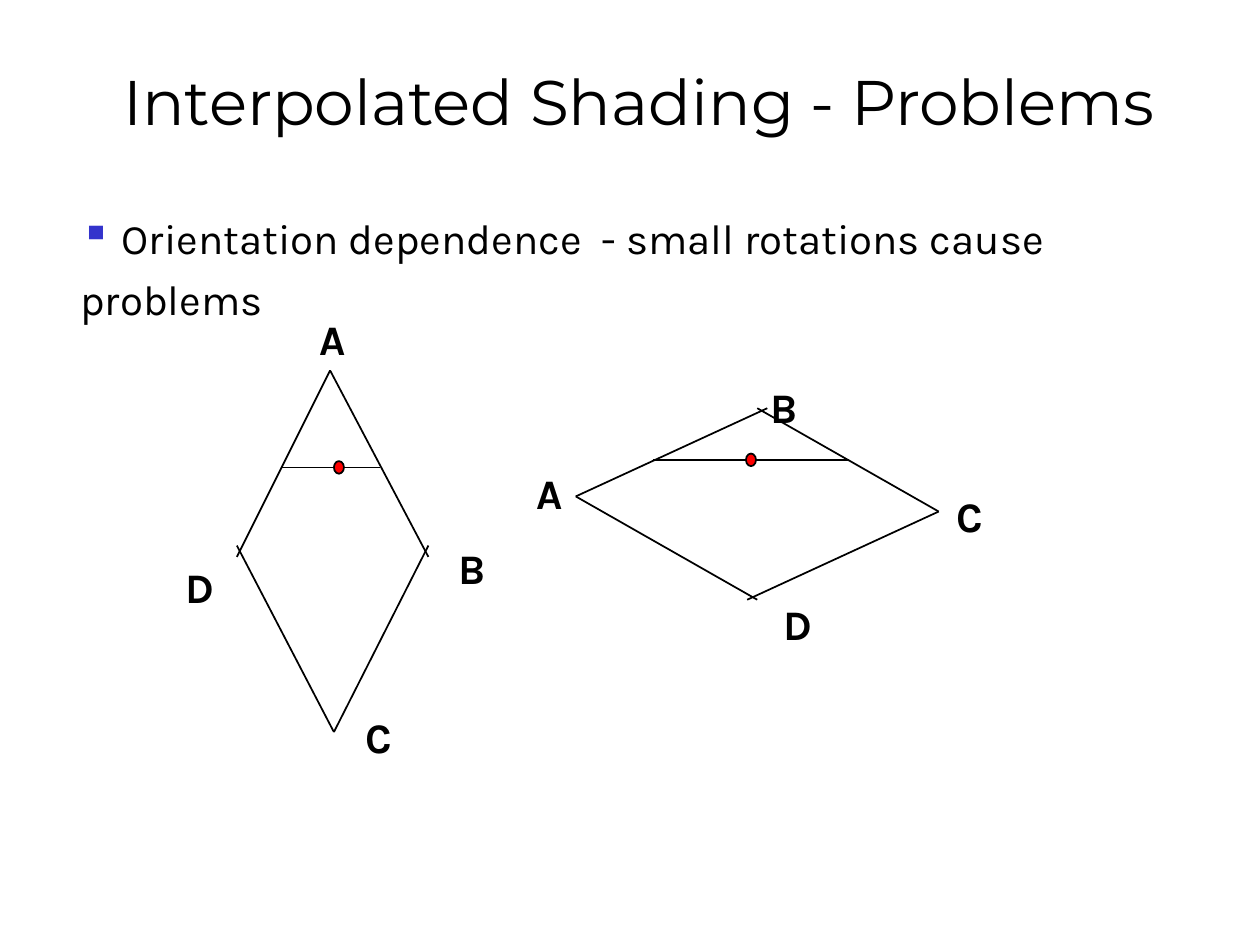
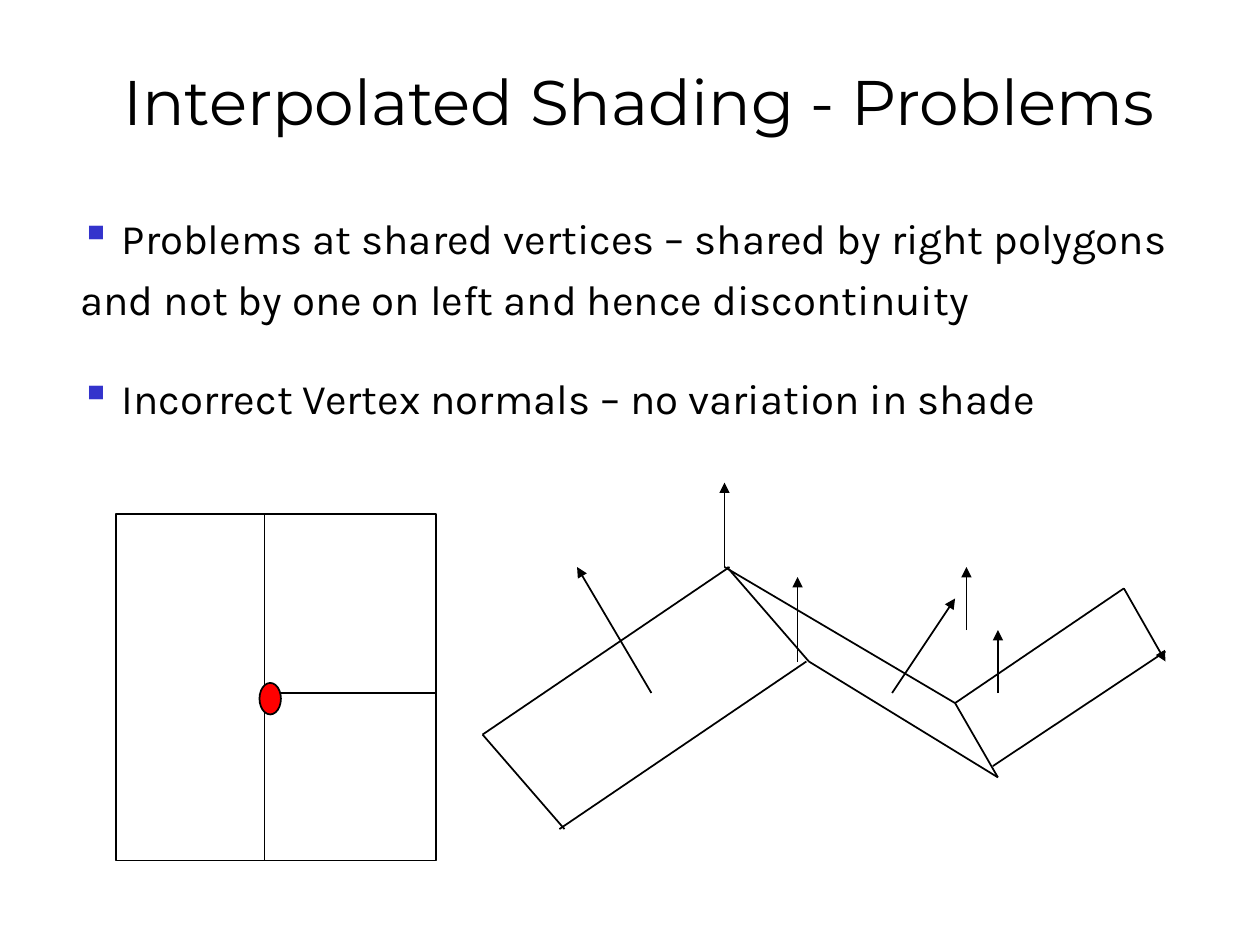
from lxml import etree
from pptx import Presentation
from pptx import util as u
from pptx.dml.color import RGBColor
from pptx.enum import shapes, text
from pptx.oxml.ns import qn

PX = 9144  # 100 px to the inch
BLACK, WHITE, RED, BLUE = "000000", "FFFFFF", "FF0000", "3333CC"
TITLE_FONT, BODY_FONT = "Montserrat", "Karla"
TITLE = "Interpolated Shading - Problems"
TITLE_BOX = (33, 33, 948, 82)
LABEL_WIDTH, LABEL_HEIGHT = 56, 58


def rgb(color):
    return RGBColor.from_string(color)


def write(shape, paragraphs, font=BODY_FONT, size=24, bold=False, bulleted=False):
    """Fill a shape with paragraphs, either centred or bulleted."""
    frame = shape.text_frame
    frame.word_wrap = True
    frame.auto_size = text.MSO_AUTO_SIZE.NONE
    frame.vertical_anchor = text.MSO_ANCHOR.TOP
    for number, words in enumerate(paragraphs):
        paragraph = frame.add_paragraph() if number else frame.paragraphs[0]
        paragraph.line_spacing = 1.2
        paragraph.space_before = u.Pt(22 if number else 0)
        if bulleted:
            paragraph.alignment = text.PP_ALIGN.LEFT
            properties = paragraph._p.get_or_add_pPr()
            properties.set("marL", "0")
            properties.set("indent", str(-17 * PX))
            bullet_color = etree.SubElement(properties, qn("a:buClr"))
            etree.SubElement(bullet_color, qn("a:srgbClr"), val=BLUE)
            etree.SubElement(properties, qn("a:buChar"), char="▪")
        else:
            paragraph.alignment = text.PP_ALIGN.CENTER
        run = paragraph.add_run()
        run.text = words
        run.font.name = font
        run.font.size = u.Pt(size)
        run.font.bold = bold
        run.font.color.rgb = rgb(BLACK)


presentation = Presentation()
presentation.slide_width = 1000 * PX
presentation.slide_height = 750 * PX

# Each line is (x1, y1, x2, y2); each filled shape is (kind, fill, box).
oval, rectangle = shapes.MSO_SHAPE.OVAL, shapes.MSO_SHAPE.RECTANGLE
orientation = {
    "bullets": [" Orientation dependence  - small rotations cause problems"],
    "body_height": 58,
    "panels": [],
    "lines": [
        # upright quadrilateral
        (262, 294, 188, 442), (262, 294, 340, 442),
        (265, 581, 340, 433), (265, 581, 188, 433),
        # rotated quadrilateral
        (457, 394, 601, 476), (457, 394, 609, 324),
        (745, 406, 601, 324), (745, 406, 593, 476),
        # scan lines
        (223, 371, 302, 371), (518, 365, 674, 365),
    ],
    "arrows": [],
    "points": [(oval, RED, (592, 360, 8, 10)), (oval, RED, (265, 366, 8, 10))],
    "labels": [
        ("D", 131, 433), ("A", 236, 236), ("B", 347, 418), ("C", 273, 552),
        ("A", 408, 358), ("B", 594, 290), ("C", 742, 376), ("D", 605, 462),
    ],
}
vertices = {
    "bullets": [
        " Problems at shared vertices – shared by right polygons and not by one"
        " on left and hence discontinuity",
        " Incorrect Vertex normals – no variation in shade",
    ],
    "body_height": 188,
    "panels": [(rectangle, WHITE, (92, 408, 254, 275))],
    "lines": [
        # polygon divisions
        (210, 408, 210, 683), (210, 550, 346, 550),
        # left face
        (577, 450, 642, 525), (383, 583, 579, 450),
        (444, 658, 640, 525), (383, 583, 448, 658),
        # middle face
        (642, 525, 792, 617), (575, 450, 758, 558), (758, 558, 792, 617),
        # right face
        (758, 558, 892, 467), (788, 608, 925, 517),
    ],
    "arrows": [
        (575, 450, 575, 383), (633, 525, 633, 458), (517, 550, 458, 450),
        (708, 550, 758, 475), (767, 500, 767, 450), (792, 550, 792, 500),
        (892, 467, 925, 525),
    ],
    "points": [(oval, RED, (206, 542, 17, 25))],
    "labels": [],
}

for content in (orientation, vertices):
    slide = presentation.slides.add_slide(presentation.slide_layouts[5])
    title = slide.shapes.title
    title.left, title.top, title.width, title.height = [n * PX for n in TITLE_BOX]
    write(title, [TITLE], TITLE_FONT, 36)

    body = slide.shapes.add_textbox(54 * PX, 156 * PX, 931 * PX, content["body_height"] * PX)
    write(body, content["bullets"], bulleted=True)

    # Panels lie behind the lines and points in front of them.
    for layer in ("panels", "lines", "arrows", "points"):
        for item in content[layer]:
            if layer in ("lines", "arrows"):
                shape = slide.shapes.add_connector(
                    shapes.MSO_CONNECTOR.STRAIGHT, *[n * PX for n in item])
            else:
                kind, fill, box = item
                shape = slide.shapes.add_shape(kind, *[n * PX for n in box])
                shape.shadow.inherit = False
                shape.fill.solid()
                shape.fill.fore_color.rgb = rgb(fill)
            shape.line.color.rgb = rgb(BLACK)
            shape.line.width = u.Pt(1)
            if layer == "arrows":
                etree.SubElement(shape.line._get_or_add_ln(), qn("a:tailEnd"), type="triangle")
            if layer in ("lines", "arrows"):
                etree.SubElement(shape._element.spPr, qn("a:effectLst"))

    for letter, left, top in content["labels"]:
        label = slide.shapes.add_textbox(
            left * PX, top * PX, LABEL_WIDTH * PX, LABEL_HEIGHT * PX)
        write(label, [letter], bold=True)

presentation.save("out.pptx")
